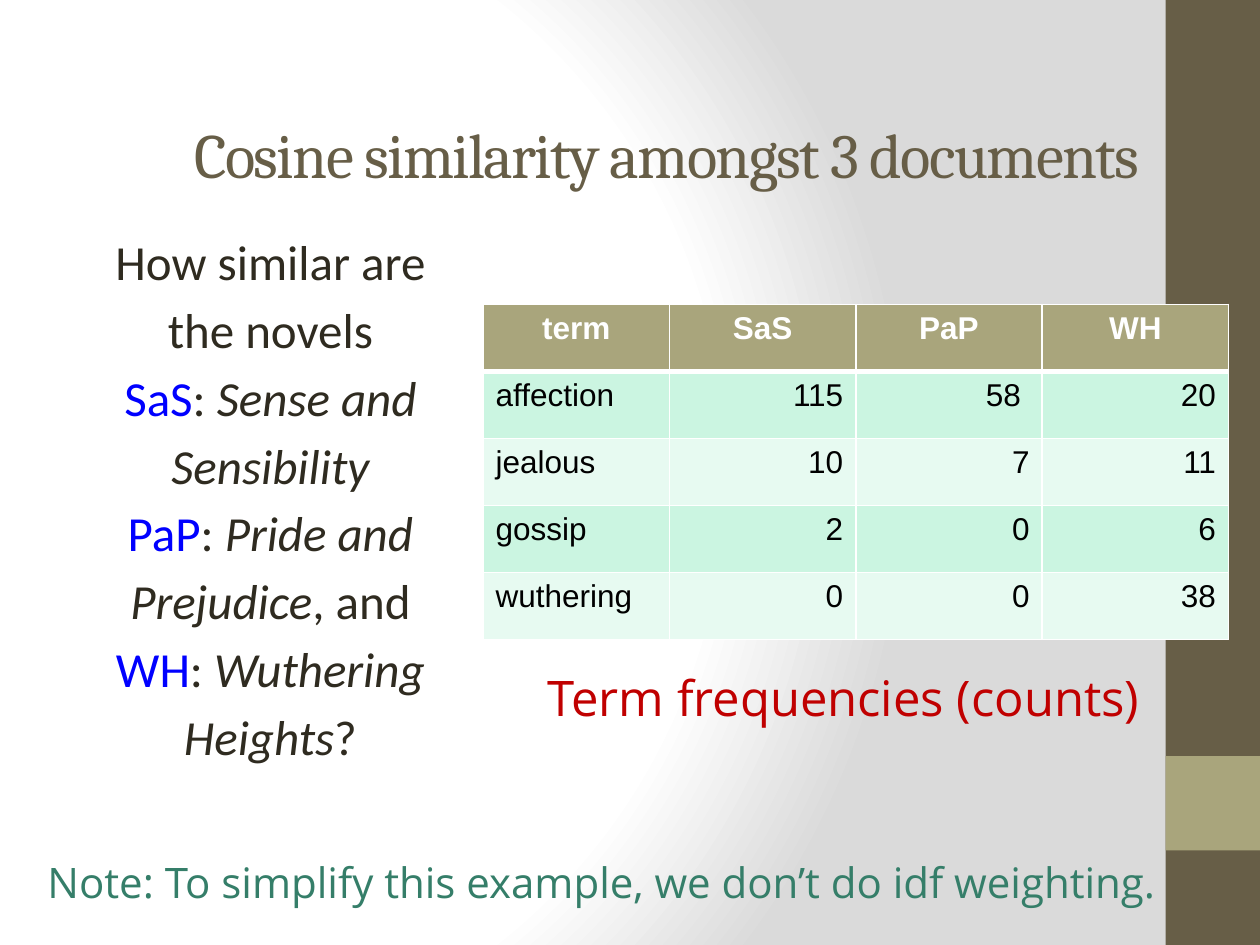
import pptx
import pptx.util
import pptx.dml.color
import pptx.enum.text
import pptx.enum.shapes
import pptx.oxml
import pptx.oxml.ns

Pt = pptx.util.Pt
Align = pptx.enum.text.PP_ALIGN
Anchor = pptx.enum.text.MSO_ANCHOR
BROWN, TAN, INK, BLUE = "675E47", "A9A57C", "2F2B20", "0000FF"


def tint(code):
    return pptx.dml.color.RGBColor.from_string(code)


def write(frame, lines, font="Calibri", size=28, color=INK, bold=False,
          align=Align.LEFT, gap=0, track=0):
    """Each line is a list of (text, color or None, italic) runs, or a string."""
    for n, line in enumerate(lines):
        para = frame.paragraphs[0] if n == 0 else frame.add_paragraph()
        para.alignment, para.space_before = align, Pt(gap)
        runs = [(line, None, False)] if isinstance(line, str) else line
        for text, hue, slant in runs:
            run = para.add_run()
            run.text = text
            run.font.name, run.font.size = font, Pt(size)
            run.font.bold, run.font.italic = bold, slant
            run.font.color.rgb = tint(hue or color)
            if track:
                run.font._element.set("spc", str(track))


deck = pptx.Presentation()
deck.slide_width, deck.slide_height = Pt(720), Pt(540)
slide = deck.slides.add_slide(deck.slide_layouts[6])

# Background: round gradient, white to grey
fill = slide.background.fill
fill.gradient()
grad = fill._xPr.find(pptx.oxml.ns.qn("a:gradFill"))
stops = "".join(
    f'<a:gs pos="{pos}000"><a:srgbClr val="{hue}"/></a:gs>'
    for pos, hue in [(0, "FFFFFF"), (75, "FFFFFF"), (100, "DADADA")])
fresh = pptx.oxml.parse_xml(
    f'<a:gradFill {pptx.oxml.ns.nsdecls("a")} rotWithShape="1">'
    f'<a:gsLst>{stops}</a:gsLst><a:path path="circle">'
    '<a:fillToRect l="20000" t="50000" r="100000" b="50000"/>'
    '</a:path></a:gradFill>')
grad.getparent().replace(grad, fresh)

# Side band
for top, high, hue in [(0, 540, BROWN), (432, 54, TAN)]:
    band = slide.shapes.add_shape(pptx.enum.shapes.MSO_SHAPE.RECTANGLE,
                                  Pt(666), Pt(top), Pt(54), Pt(high))
    band.shadow.inherit = False
    band.fill.solid()
    band.fill.fore_color.rgb = tint(hue)
    band.line.fill.background()

# Title, question and notes
novels = [
    "How similar are",
    "the novels",
    [("SaS", BLUE, False), (": ", None, False), ("Sense and", None, True)],
    [("Sensibility", None, True)],
    [("PaP", BLUE, False), (": ", None, False), ("Pride and", None, True)],
    [("Prejudice", None, True), (", and", None, False)],
    [("WH", BLUE, False), (": ", None, False), ("Wuthering", None, True)],
    [("Heights", None, True), ("?", None, False)],
]
texts = [
    ((42, 21.6, 678, 91.4), ["Cosine similarity amongst 3 documents"],
     dict(font="Cambria", size=36, color=BROWN, align=Align.CENTER, track=-100)),
    ((36, 129, 237, 369), novels, dict(align=Align.CENTER, gap=5.1)),
    ((306, 378, 374, 41), ["Term frequencies (counts)"],
     dict(font="Open Sans", color="C00000")),
    ((20, 486, 700, 36.5),
     ["Note: To simplify this example, we don’t do idf weighting."],
     dict(font="Open Sans", size=24, color="357E69")),
]
for place, lines, style in texts:
    frame = slide.shapes.add_textbox(*map(Pt, place)).text_frame
    frame.word_wrap = True
    if "track" in style:
        frame.vertical_anchor = Anchor.BOTTOM
    write(frame, lines, **style)

# Term counts
rows = [
    ["term", "SaS", "PaP", "WH"],
    ["affection", "115", "58 ", "20"],
    ["jealous", "10", "7", "11"],
    ["gossip", "2", "0", "6"],
    ["wuthering", "0", "0", "38"],
]
table = slide.shapes.add_table(5, 4, Pt(276), Pt(174), Pt(426), Pt(191.5)).table
for col in table.columns:
    col.width = Pt(106.5)
for r, row in enumerate(rows):
    table.rows[r].height = Pt(38.3)
    for c, text in enumerate(row):
        cell = table.cell(r, c)
        head = r == 0
        side = Align.CENTER if head else Align.RIGHT if c else Align.LEFT
        write(cell.text_frame, [text], font="Arial", size=18, bold=head,
              color="FFFFFF" if head else "000000", align=side)
        # White borders, thick under the header
        props = cell._tc.get_or_add_tcPr()
        for edge in "LRTB":
            thick = (r, edge) in [(0, "B"), (1, "T")]
            props.append(pptx.oxml.parse_xml(
                f'<a:ln{edge} {pptx.oxml.ns.nsdecls("a")} w="{Pt(3 if thick else 1)}">'
                '<a:solidFill><a:srgbClr val="FFFFFF"/></a:solidFill>'
                f'</a:ln{edge}>'))
        cell.fill.solid()
        cell.fill.fore_color.rgb = tint(
            TAN if head else "CBF5E1" if r % 2 else "E7FAF1")

deck.save("out.pptx")
